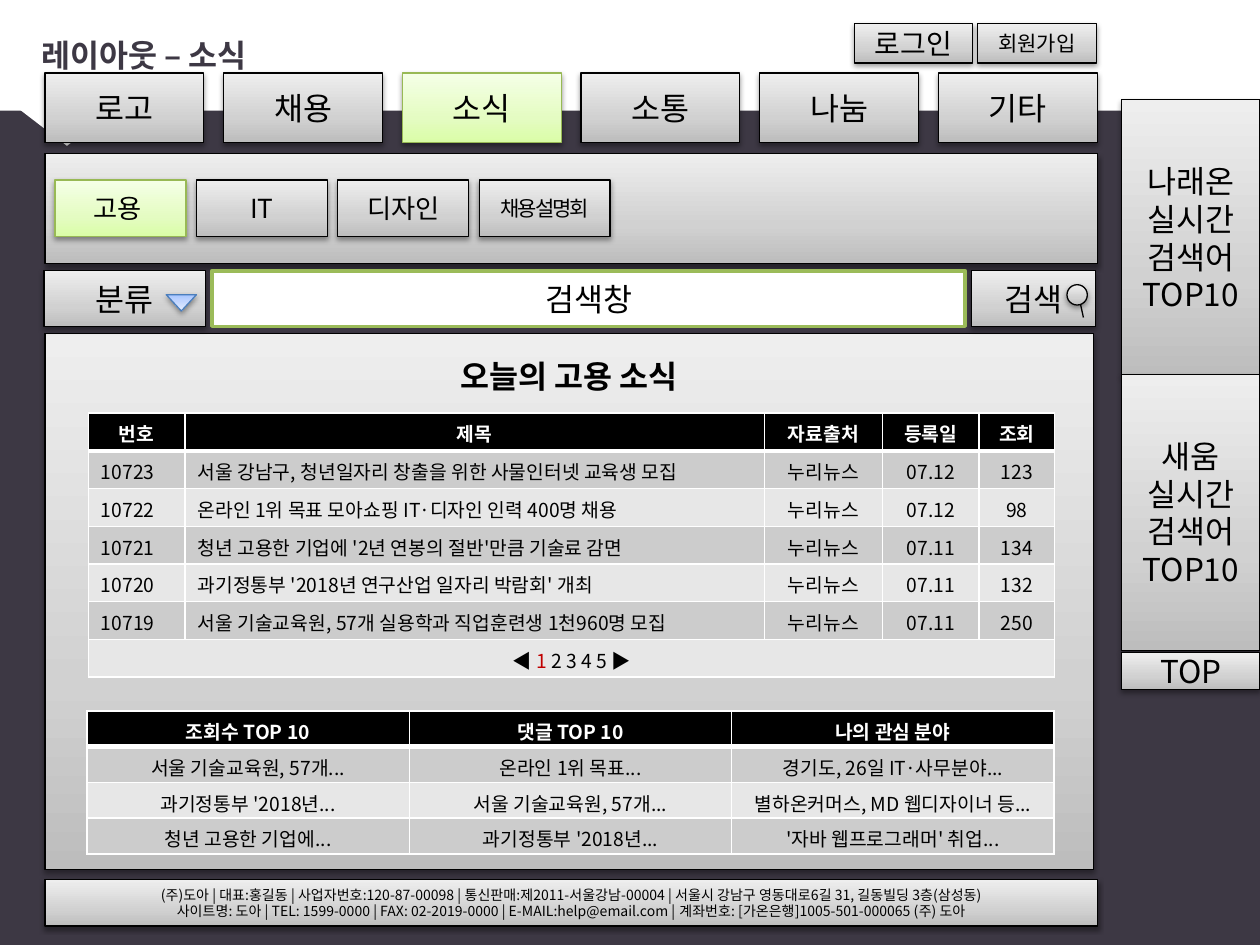
import copy
import dataclasses

import lxml.etree
import pptx
import pptx.dml.color
import pptx.enum.shapes
import pptx.enum.text
import pptx.oxml.ns
import pptx.util

Cm, Pt = pptx.util.Cm, pptx.util.Pt
RGB = pptx.dml.color.RGBColor.from_string
qn = pptx.oxml.ns.qn
KIND = pptx.enum.shapes.MSO_SHAPE
ALIGN = pptx.enum.text.PP_ALIGN
MID = pptx.enum.text.MSO_ANCHOR.MIDDLE
TOP = pptx.enum.text.MSO_ANCHOR.TOP


@dataclasses.dataclass(frozen=True)
class Theme:
    font: str = "Noto Sans CJK KR"
    dark: str = "3D3844"
    white: str = "FFFFFF"
    black: str = "000000"
    red: str = "C00000"
    green: str = "9BBB59"
    bands: tuple = ("CCCCCC", "E7E7E7")
    grey: tuple = (("BDBDBD", "D1D1D1", "EEEEEE"), "000000")
    lime: tuple = (("DAFDA7", "E4FCC2", "F5FFE7"), "98B955")
    blue: tuple = (("A4C4FF", "BFD4FF", "E6EEFF"), "4B7EBC")
    big: float = 18
    mid: float = 16
    chip: float = 15
    small: float = 12
    cell: float = 11
    tiny: float = 8


T = Theme()


def put(item, form):
    for name, value in form.items():
        setattr(item, name, value)


def sub(parent, tag, **attrs):
    return lxml.etree.SubElement(parent, qn(tag), attrs)


def write(frame, lines, size, color=T.black, bold=False, align=ALIGN.CENTER, spc=None):
    """Each line is a string or a list of (text, colour) runs."""
    for i, line in enumerate(lines):
        para = frame.paragraphs[0] if i == 0 else frame.add_paragraph()
        para.alignment = align
        for text, tint in [(line, color)] if isinstance(line, str) else line:
            run = para.add_run()
            run.text = text
            put(run.font, {"size": Pt(size), "bold": bold, "name": T.font})
            run.font.color.rgb = RGB(tint)
            props = run.font._element
            sub(props, "a:ea", typeface=T.font)
            if spc:
                props.set("spc", str(spc))


def flat(slide, box, color, edge=None, kind=KIND.RECTANGLE):
    shape = slide.shapes.add_shape(kind, *map(Cm, box))
    shape.shadow.inherit = False
    shape.fill.solid()
    shape.fill.fore_color.rgb = RGB(color)
    if edge:
        shape.line.color.rgb = RGB(edge)
        shape.line.width = Pt(2)
    else:
        shape.line.fill.background()
    return shape


def glossy(slide, box, look=T.grey, kind=KIND.RECTANGLE):
    """Shape with a three-stop gradient, thin outline and soft shadow."""
    shape = slide.shapes.add_shape(kind, *map(Cm, box))
    tones, edge = look
    fill = shape.fill
    fill.gradient()
    fill.gradient_angle = 90
    stops = shape._element.spPr.find(".//" + qn("a:gsLst"))
    stops.append(copy.deepcopy(stops[-1]))
    for stop, tone, place in zip(fill.gradient_stops, tones, (0, 0.35, 1)):
        stop.color.rgb = RGB(tone)
        stop.position = place
    shape.line.color.rgb = RGB(edge)
    shape.line.width = Pt(0.75)
    shape.shadow.inherit = False
    effect = shape._element.spPr.find(qn("a:effectLst"))
    shade = sub(effect, "a:outerShdw", blurRad="40000", dist="20000",
                dir="5400000", rotWithShape="0")
    sub(sub(shade, "a:srgbClr", val=T.black), "a:alpha", val="38000")
    return shape


def button(slide, box, lines, size=T.big, look=T.grey, **form):
    shape = glossy(slide, box, look)
    write(shape.text_frame, lines, size, **form)
    return shape


def backdrop(slide, w, h):
    flat(slide, (0, 0, w, h), T.dark)
    flat(slide, (0, 0, w, 2.23), T.white)
    notch = flat(slide, (-0.5, 1.52, 3.7, 1.42), T.white, kind=KIND.ISOSCELES_TRIANGLE)
    notch.rotation = 180


def title(slide, box, text):
    frame = slide.shapes.add_textbox(*map(Cm, box)).text_frame
    put(frame, {"word_wrap": True, "vertical_anchor": MID})
    write(frame, [text], T.big, T.dark, True, ALIGN.LEFT)


def nav(slide, x, y, w, h, names, active):
    wide = 3.2
    step = (w - wide) / (len(names) - 1)
    for i, name in enumerate(names):
        button(slide, (x + i * step, y, wide, h), [name],
               look=T.lime if name == active else T.grey)


def account(slide, x, y, w, h):
    wide = 2.39
    button(slide, (x + w - wide, y, wide, h), ["회원가입"], T.small)
    button(slide, (x, y, wide, h), ["로그인"], T.mid)


def menu(slide, x, y, w, h):
    glossy(slide, (x, y, w, h))
    chips = [("고용 ", T.chip, T.lime, None), ("IT", T.chip, T.grey, None),
             ("디자인", T.chip, T.grey, None), ("채용 설명회", T.small, T.grey, -150)]
    for i, (name, size, look, spc) in enumerate(chips):
        button(slide, (x + 0.2 + i * 2.85, y + 0.53, 2.64, 1.14), [name], size, look, spc=spc)


def sidebar(slide, x, y, w, h):
    for i, site in enumerate(("나래온", "새움")):
        button(slide, (x, y + i * 5.54, w, 5.56), [site, "실시간", "검색어", "TOP10"])
    button(slide, (x, y + h - 0.74, w, 0.74), ["TOP"])


def search(slide, x, y, w, h):
    button(slide, (x, y, 3.25, h), ["분류"])
    field = flat(slide, (x + 3.38, y, 15.19, h), T.white, T.green)
    write(field.text_frame, ["검색창"], T.big)
    button(slide, (x + w - 2.51, y, 2.51, h), ["검색"])
    arrow = glossy(slide, (x + 2.46, y + 0.48, 0.61, 0.33), T.blue, KIND.ISOSCELES_TRIANGLE)
    arrow.rotation = 180
    ends = (x + 20.85, y + 0.48, x + 20.95, y + 0.94)
    grip = slide.shapes.add_connector(pptx.enum.shapes.MSO_CONNECTOR.STRAIGHT, *map(Cm, ends))
    grip.line.color.rgb = RGB(T.black)
    grip.line.width = Pt(0.75)
    sub(grip._element.spPr, "a:effectLst")
    glossy(slide, (x + 20.62, y + 0.28, 0.41, 0.41), kind=KIND.OVAL)


def paint(cell, color, head):
    props = cell._tc.get_or_add_tcPr()
    for side in ("L", "R", "T", "B"):
        width = Pt(3) if head and side == "B" else Pt(1)
        line = sub(props, "a:ln" + side, w=str(width))
        sub(sub(line, "a:solidFill"), "a:srgbClr", val=T.white)
    cell.fill.solid()
    cell.fill.fore_color.rgb = RGB(color)


def grid(slide, x, y, cols, high, rows, left=()):
    """Banded table; a row with one entry spans every column."""
    size = (x, y, sum(cols), high * len(rows))
    table = slide.shapes.add_table(len(rows), len(cols), *map(Cm, size)).table
    for col, wide in zip(table.columns, cols):
        col.width = Cm(wide)
    for r, row in enumerate(rows):
        head = r == 0
        for c in range(len(cols)):
            paint(table.cell(r, c), T.black if head else T.bands[(r - 1) % 2], head)
        if len(row) == 1:
            table.cell(r, 0).merge(table.cell(r, len(cols) - 1))
        for c, text in enumerate(row):
            side = ALIGN.LEFT if c in left and not head and len(row) > 1 else ALIGN.CENTER
            write(table.cell(r, c).text_frame, [text], T.cell,
                  T.white if head else T.black, head, side)


def news(slide, x, y, w, h):
    panel = button(slide, (x, y, w, h), ["오늘의 고용 소식"], bold=True)
    put(panel.text_frame, {"vertical_anchor": TOP, "margin_top": Cm(0.46)})
    press = "누리뉴스"
    tops = [
        ("조회수 TOP 10", "댓글 TOP 10", "나의 관심 분야"),
        ("서울 기술교육원, 57개...", "온라인 1위 목표...", "경기도, 26일 IT·사무분야..."),
        ("과기정통부 '2018년...", "서울 기술교육원, 57개...", "별하온커머스, MD 웹디자이너 등..."),
        ("청년 고용한 기업에...", "과기정통부 '2018년...", "'자바 웹프로그래머' 취업..."),
    ]
    posts = [
        ("번호", "제목", "자료출처", "등록일", "조회"),
        ("10723", "서울 강남구, 청년일자리 창출을 위한 사물인터넷 교육생 모집", press, "07.12", "123"),
        ("10722", "온라인 1위 목표 모아쇼핑 IT·디자인 인력 400명 채용", press, "07.12", "98"),
        ("10721", "청년 고용한 기업에 '2년 연봉의 절반'만큼 기술료 감면", press, "07.11", "134"),
        ("10720", "과기정통부 '2018년 연구산업 일자리 박람회' 개최", press, "07.11", "132"),
        ("10719", "서울 기술교육원, 57개 실용학과 직업훈련생 1천960명 모집", press, "07.11", "250"),
        ([("◀ ", T.black), ("1 ", T.red), ("2 3 4 5 ▶", T.black)],),
    ]
    grid(slide, x + 0.84, y + 7.6, (6.5,) * 3, 0.72, tops)
    grid(slide, x + 0.87, y + 1.6, (1.95, 11.68, 2.38, 1.95, 1.52), 0.76, posts, (0, 1))


def footer(slide, box):
    button(slide, box, [
        "(주)도아 | 대표:홍길동 | 사업자번호:120-87-00098 | 통신판매:제2011-서울강남-00004"
        " | 서울시 강남구 영동대로6길 31, 길동빌딩 3층(삼성동)",
        "사이트명: 도아 | TEL: 1599-0000 | FAX: 02-2019-0000 | E-MAIL:help@email.com"
        " | 계좌번호: [가온은행]1005-501-000065 (주) 도아",
    ], T.tiny)


def main():
    deck = pptx.Presentation()
    put(deck, {"slide_width": Cm(25.4), "slide_height": Cm(19.05)})
    slide = deck.slides.add_slide(deck.slide_layouts[6])
    x, w = 0.91, 21.21
    backdrop(slide, 25.4, 19.05)
    title(slide, (0.58, 0.33, 16, 1.57), "레이아웃 – 소식")
    nav(slide, x, 1.47, w, 1.4, ["로고", "채용", "소식", "소통", "나눔", "기타"], "소식")
    account(slide, 17.22, 0.48, 4.88, 0.79)
    menu(slide, x, 3.1, w, 2.21)
    sidebar(slide, 22.61, 2.01, 2.79, 11.89)
    news(slide, x, 6.73, 21.13, 10.8)
    footer(slide, (x, 17.73, w, 0.94))
    search(slide, 0.89, 5.46, 21.2, 1.12)
    deck.save("out.pptx")


if __name__ == "__main__":
    main()
